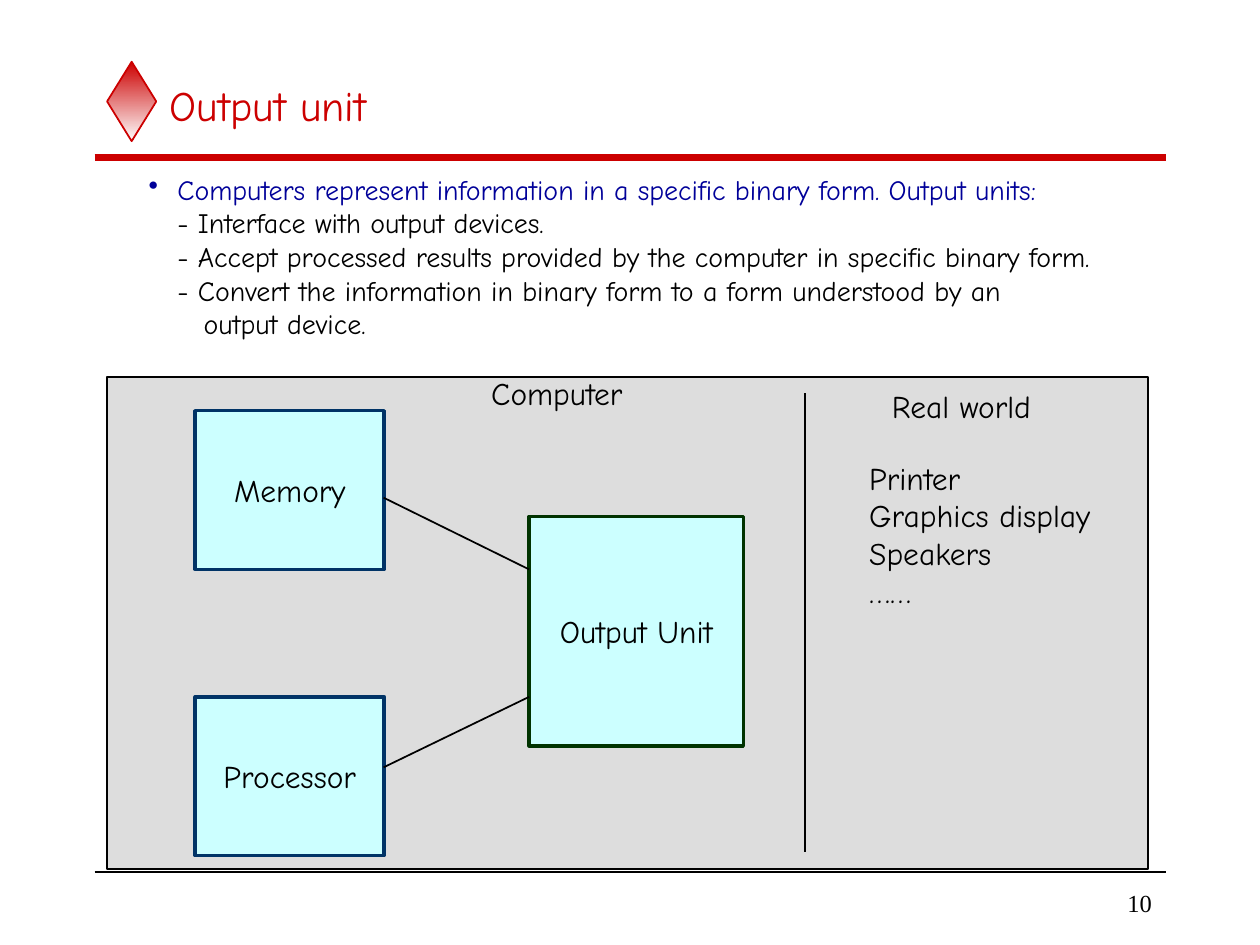
"""Build the output unit slide with its block diagram."""
from lxml.etree import SubElement
from pptx import Presentation
from pptx.dml.color import RGBColor
from pptx.enum.shapes import MSO_CONNECTOR, MSO_SHAPE
from pptx.enum.text import MSO_ANCHOR, MSO_AUTO_SIZE, PP_ALIGN
from pptx.oxml.ns import qn
from pptx.util import Pt

COLORS = {
    "red": "CC0000", "white": "FEFEFE", "black": "000000", "blue": "000099",
    "gray": "DDDDDD", "cyan": "CCFFFF", "green": "003300", "navy": "003366",
}
RGB = {name: RGBColor.from_string(value) for name, value in COLORS.items()}


def write(sp, lines, size, color="black", font="Comic Neue", align=PP_ALIGN.LEFT, **frame):
    tf = sp.text_frame
    for name, value in frame.items():
        setattr(tf, name, value)
    for i, line in enumerate(lines):
        p = tf.paragraphs[0] if i == 0 else tf.add_paragraph()
        p.alignment = align
        r = p.add_run()
        r.text = line
        for name, value in {"name": font, "size": Pt(size)}.items():
            setattr(r.font, name, value)
        r.font.color.rgb = RGB[color]
    return tf


def add_box(shapes, kind, box, line, width, fill=None):
    sp = shapes.add_shape(kind, *map(Pt, box))
    sp.shadow.inherit = False
    sp.line.color.rgb = RGB[line]
    sp.line.width = Pt(width)
    if fill:
        sp.fill.solid()
        sp.fill.fore_color.rgb = RGB[fill]
    return sp


prs = Presentation()
prs.slide_width, prs.slide_height = Pt(720), Pt(540)
s = prs.slides.add_slide(prs.slide_layouts[6])

sp = add_box(s.shapes, MSO_SHAPE.DIAMOND, (61.2, 35.3, 28.1, 45.4), "red", 1)
sp.fill.gradient()
sp.fill.gradient_angle = 270
for stop, color, position in zip(sp.fill.gradient_stops, ("red", "white"), (0, 1)):
    stop.color.rgb = RGB[color]
    stop.position = position

add_box(s.shapes, MSO_SHAPE.RECTANGLE, (61.2, 215.3, 594.7, 281.5), "black", 1, "gray")

blocks = [
    ("Output Unit", (302.4, 295.2, 122.4, 131), "green"),
    ("Processor", (111.6, 398.2, 108, 90.7), "navy"),
    ("Memory", (111.6, 234.7, 108, 90.7), "navy"),
]
for label, box, line in blocks:
    sp = add_box(s.shapes, MSO_SHAPE.RECTANGLE, box, line, 2, "cyan")
    write(sp, [label], 18, align=PP_ALIGN.CENTER, word_wrap=False,
          vertical_anchor=MSO_ANCHOR.MIDDLE)

lines = [
    ((54, 90, 666, 90), "red", 4),
    ((54, 498.2, 666, 498.2), "black", 1),
    ((302.4, 325.4, 219.2, 284.4), "black", 1),
    ((302.4, 398.2, 219.2, 438.5), "black", 1),
    ((460.1, 224.6, 460.1, 486.7), "black", 1),
]
for ends, color, width in lines:
    sp = s.shapes.add_connector(MSO_CONNECTOR.STRAIGHT, *map(Pt, ends))
    sp.line.color.rgb = RGB[color]
    sp.line.width = Pt(width)
    SubElement(sp._element.spPr, qn("a:effectLst"))

sp = s.shapes.add_textbox(Pt(90), Pt(36), Pt(576), Pt(48.2))
write(sp, ["Output unit"], 24, "red", word_wrap=True, vertical_anchor=MSO_ANCHOR.MIDDLE)

labels = [
    (["Computer"], (273.6, 210.2, 90, 28.8)),
    (["Real world"], (502.6, 217.4, 94.3, 28.8)),
    (["Printer", "Graphics display", "Speakers", "……"], (489.6, 258.5, 141.1, 93.6)),
]
for text, box in labels:
    sp = s.shapes.add_textbox(*map(Pt, box))
    write(sp, text, 18, word_wrap=False, auto_size=MSO_AUTO_SIZE.SHAPE_TO_FIT_TEXT)

points = [
    "Computers represent information in a specific binary form. Output units:",
    "- Interface with output devices.",
    "- Accept processed results provided by the computer in specific binary form.",
    "- Convert the information in binary form to a form understood by an",
    "output device.",
]
sp = s.shapes.add_textbox(Pt(77.8), Pt(95), Pt(553.7), Pt(103.7))
tf = write(sp, points, 16, word_wrap=False, auto_size=MSO_AUTO_SIZE.SHAPE_TO_FIT_TEXT)
for p, margin in zip(tf.paragraphs, (16.5, 16.5, 16.5, 16.5, 31.5)):
    p._p.get_or_add_pPr().set("marL", str(Pt(margin)))
p = tf.paragraphs[0]
p.runs[0].font.color.rgb = RGB["blue"]
pPr = p._p.get_or_add_pPr()
pPr.set("indent", str(-Pt(16.5)))
SubElement(SubElement(pPr, qn("a:buClr")), qn("a:srgbClr"), val=COLORS["blue"])
SubElement(pPr, qn("a:buChar"), char="•")

sp = s.shapes.add_textbox(Pt(563.8), Pt(504), Pt(101.5), Pt(23.8))
write(sp, ["10"], 14, font="Times New Roman", align=PP_ALIGN.RIGHT, word_wrap=True,
      vertical_anchor=MSO_ANCHOR.MIDDLE)

prs.save("out.pptx")
